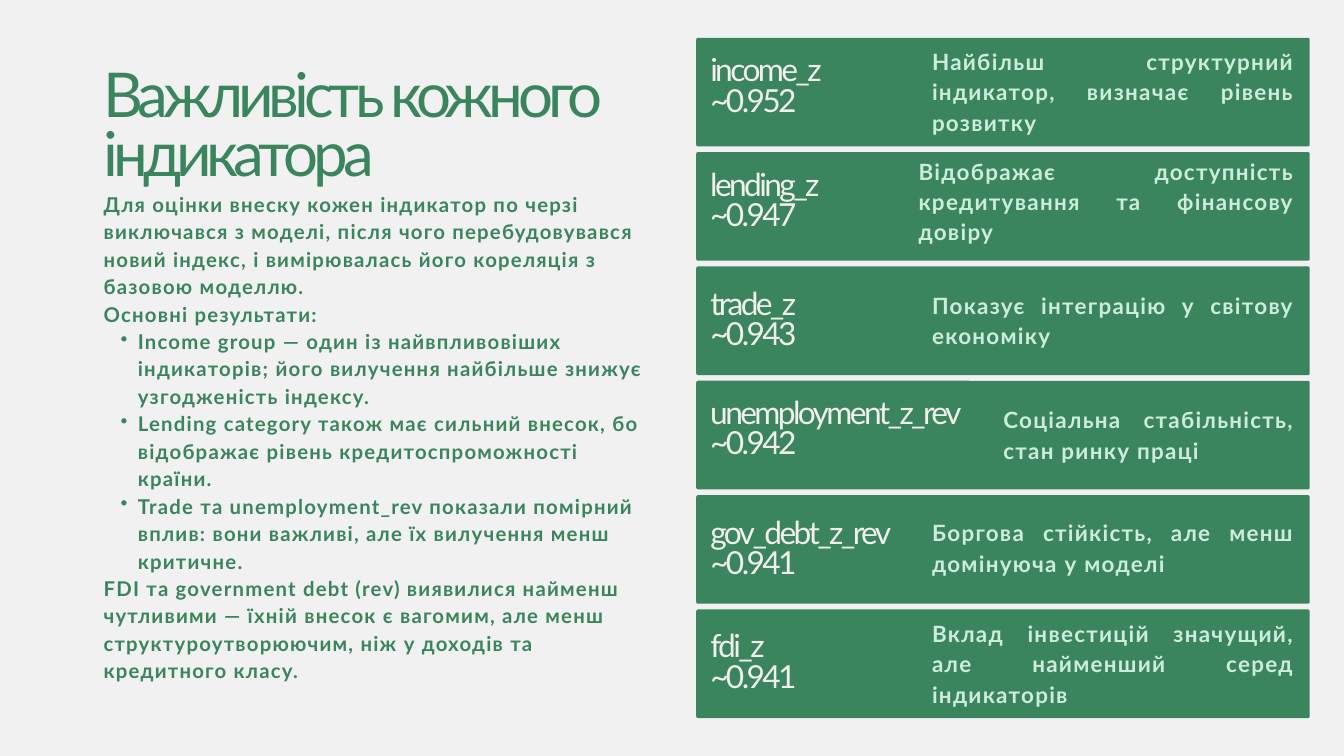
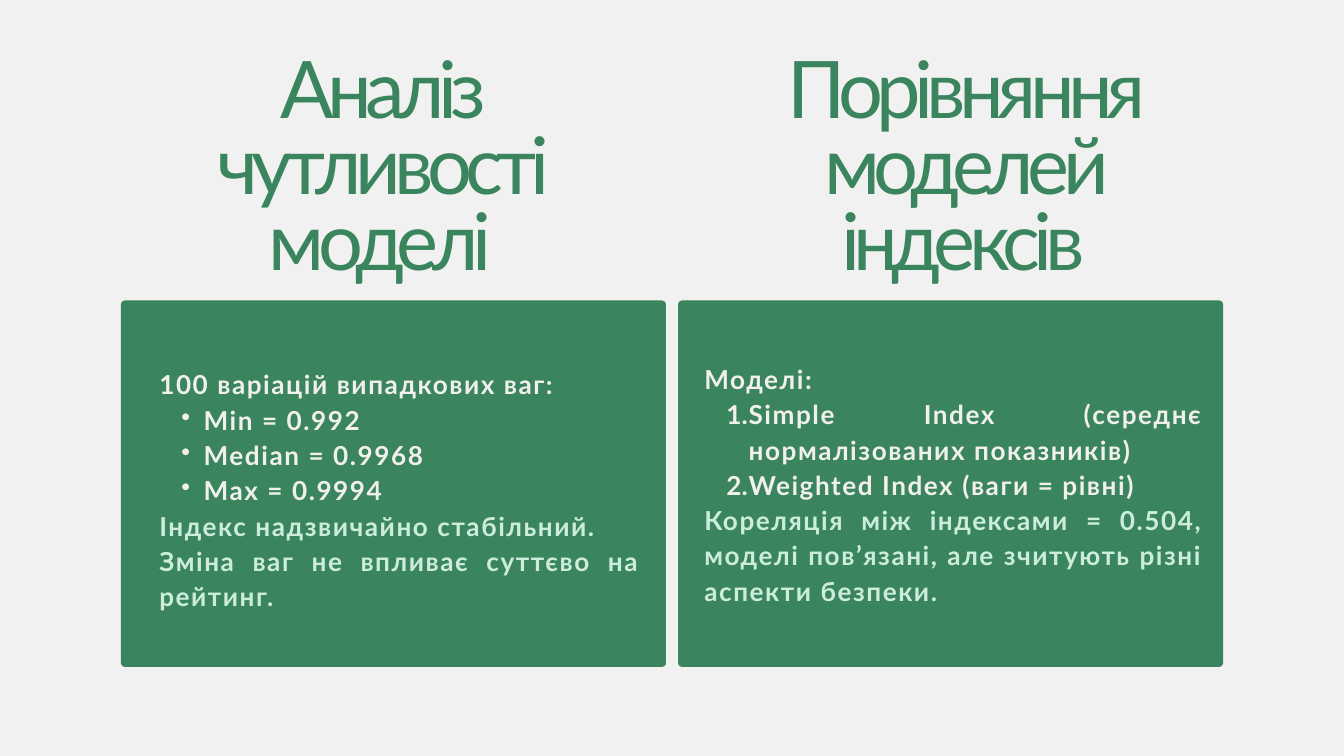
import collections

import lxml.etree
import pptx
import pptx.dml.color
import pptx.enum.shapes
import pptx.enum.text
import pptx.oxml.ns
import pptx.util

Pt = pptx.util.Pt
RGBColor = pptx.dml.color.RGBColor
ALIGN = pptx.enum.text.PP_ALIGN

BACKGROUND = RGBColor(0xF1, 0xF1, 0xF1)
GREEN = RGBColor(0x3A, 0x85, 0x5D)
CREAM = RGBColor(0xF1, 0xF0, 0xEC)
MINT = RGBColor(0xCD, 0xED, 0xDC)
FONT = "Lato"

# Sizes, line spacing, letter spacing and list indent are in points.
Style = collections.namedtuple(
    "Style", "size colour leading tracking bold align indent", defaults=(False, ALIGN.LEFT, 0))
Line = collections.namedtuple("Line", "text mark colour", defaults=(None, None))

LEFT_TITLE = Style(66.2, GREEN, 63.6, -5.4)
PANEL_TITLE = Style(85, GREEN, 81.6, -7, align=ALIGN.CENTER)
BODY = Style(21.8, GREEN, 29.4, 1.3, True, indent=36.7)
LABEL = Style(34, CREAM, 32.6, -2.8)
DESCRIPTION = Style(24, MINT, 32.4, 1.4, True, ALIGN.JUSTIFY)
PANEL_BODY = Style(28, CREAM, 37.8, 1.7, True, ALIGN.JUSTIFY, 47.5)

BULLET = ("a:buChar", "char", "•")
NUMBER = ("a:buAutoNum", "type", "arabicPeriod")


def add_text(slide, left, top, width, height, style, lines):
    frame = slide.shapes.add_textbox(Pt(left), Pt(top), Pt(width), Pt(height)).text_frame
    frame.word_wrap = True
    frame.margin_left = frame.margin_top = frame.margin_right = frame.margin_bottom = 0
    for index, line in enumerate(lines):
        paragraph = frame.add_paragraph() if index else frame.paragraphs[0]
        paragraph.alignment = style.align
        paragraph.line_spacing = Pt(style.leading)
        if line.mark:
            tag, attribute, value = line.mark
            paragraph.level = 1
            properties = paragraph._p.get_or_add_pPr()
            properties.set("marL", str(Pt(style.indent)))
            properties.set("indent", str(-Pt(style.indent / 2)))
            mark = lxml.etree.SubElement(properties, pptx.oxml.ns.qn(tag))
            mark.set(attribute, value)
        font = paragraph.font
        font.name = FONT
        font.size = Pt(style.size)
        font.bold = style.bold
        font.color.rgb = line.colour or style.colour
        run = paragraph.add_run()
        run.text = line.text
        run._r.get_or_add_rPr().set("spc", str(round(style.tracking * 100)))


def add_card(slide, left, top, width, height, radius):
    card = slide.shapes.add_shape(
        pptx.enum.shapes.MSO_SHAPE.ROUNDED_RECTANGLE, Pt(left), Pt(top), Pt(width), Pt(height))
    card.adjustments[0] = radius / min(width, height)
    card.shadow.inherit = False
    card.fill.solid()
    card.fill.fore_color.rgb = GREEN
    card.line.fill.background()


presentation = pptx.Presentation()
presentation.slide_width = Pt(1440)
presentation.slide_height = Pt(810)
slides = []
for number in range(2):
    slide = presentation.slides.add_slide(presentation.slide_layouts[6])
    slide.background.fill.solid()
    slide.background.fill.fore_color.rgb = BACKGROUND
    slides.append(slide)
importance_slide, models_slide = slides

# Slide 1: the weight of each indicator
add_text(importance_slide, 111, 75, 565, 131, LEFT_TITLE, [Line("Важливість кожного індикатора")])
add_text(importance_slide, 111, 202.5, 579.5, 543, BODY, [
    Line("Для оцінки внеску кожен індикатор по черзі виключався з моделі, після чого "
         "перебудовувався новий індекс, і вимірювалась його кореляція з базовою моделлю."),
    Line("Основні результати:"),
    Line("Income group — один із найвпливовіших індикаторів; його вилучення найбільше "
         "знижує узгодженість індексу.", BULLET),
    Line("Lending category також має сильний внесок, бо відображає рівень "
         "кредитоспроможності країни.", BULLET),
    Line("Trade та unemployment_rev показали помірний вплив: вони важливі, але їх "
         "вилучення менш критичне.", BULLET),
    Line("FDI та government debt (rev) виявилися найменш чутливими — їхній внесок є "
         "вагомим, але менш структуроутворюючим, ніж у доходів та кредитного класу."),
])

CARD_LEFT, CARD_TOP, CARD_WIDTH, CARD_HEIGHT, CARD_PITCH = 746, 40.5, 657.3, 116.4, 122.5
DESCRIPTION_RIGHT = 1386.7
# name, value, label top, label width, description left, top and height, description
indicators = [
    ("income_z", "~0.952", 62, 258.5, 998.6, 48.2, 97, "Найбільш структурний індикатор, визначає рівень розвитку"),
    ("lending_z", "~0.947", 184.5, 249, 984.2, 165.6, 129, "Відображає доступність кредитування та фінансову довіру"),
    ("trade_z", "~0.943", 311.8, 193, 998.6, 309.6, 65, "Показує інтеграцію у світову економіку"),
    ("unemployment_z_rev", "~0.942", 429, 335, 1075, 432, 65, "Соціальна стабільність, стан ринку праці"),
    ("gov_debt_z_rev", "~0.941", 557.3, 223, 998.6, 553, 65, "Боргова стійкість, але менш домінуюча у моделі"),
    ("fdi_z", "~0.941", 679, 190, 998.6, 661, 97, "Вклад інвестицій значущий, але найменший серед індикаторів"),
]
for row, indicator in enumerate(indicators):
    name, value, label_top, label_width, left, top, height, description = indicator
    add_card(importance_slide, CARD_LEFT, CARD_TOP + row * CARD_PITCH, CARD_WIDTH, CARD_HEIGHT, 2)
    add_text(importance_slide, 761, label_top, label_width, 131.8, LABEL, [Line(name), Line(value)])
    add_text(importance_slide, left, top, DESCRIPTION_RIGHT - left, height, DESCRIPTION,
             [Line(description)])

# Slide 2: sensitivity and comparison of the models
# card left, title left, title, text left, top and width, lines
panels = [
    (129.6, 129.6, "Аналіз чутливості моделі", 170.7, 391, 514.8, [
        Line("100 варіацій випадкових ваг:"),
        Line("Min = 0.992", BULLET),
        Line("Median = 0.9968", BULLET),
        Line("Max = 0.9994", BULLET),
        Line("Індекс надзвичайно стабільний.", colour=MINT),
        Line("Зміна ваг не впливає суттєво на рейтинг.", colour=MINT),
    ]),
    (726.5, 754.6, "Порівняння моделей індексів", 754.6, 385.2, 534.2, [
        Line("Моделі:"),
        Line("Simple Index (середнє нормалізованих показників)", NUMBER),
        Line("Weighted Index (ваги = рівні)", NUMBER),
        Line("Кореляція між індексами = 0.504, моделі повʼязані, але зчитують різні "
             "аспекти безпеки.", colour=MINT),
    ]),
]
for card_left, title_left, title, left, top, width, lines in panels:
    add_text(models_slide, title_left, 62, 555, 248.4, PANEL_TITLE, [Line(title)])
    add_card(models_slide, card_left, 322, 584, 392.6, 4.3)
    add_text(models_slide, left, top, width, 262, PANEL_BODY, lines)

presentation.save("out.pptx")
